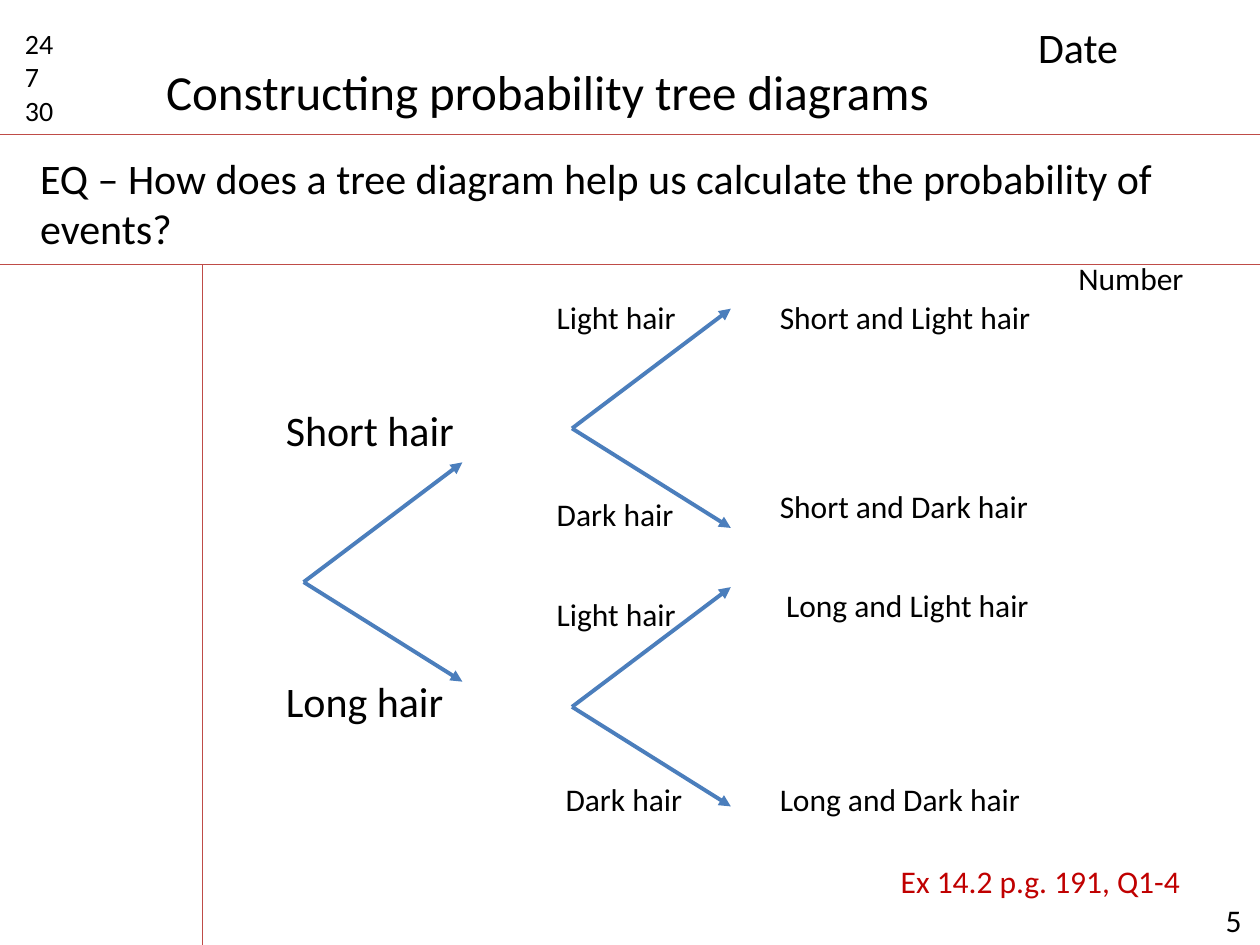
from lxml import etree
from pptx import Presentation
from pptx.dml.color import RGBColor
from pptx.enum.shapes import MSO_CONNECTOR
from pptx.enum.text import MSO_AUTO_SIZE
from pptx.oxml.ns import qn
from pptx.util import Inches, Pt

LINE = MSO_CONNECTOR.STRAIGHT
GROW = MSO_AUTO_SIZE.SHAPE_TO_FIT_TEXT
WIDE, HIGH = Inches(10), Inches(7.5)
COLS, ROWS = 100, 75
INK = {"text": "000000", "rule": "BF4C48", "arrow": "4B7EBC", "task": "C00000"}

HEADS = [
    ("5", 96.3, 71, 5.4, 4, 18, "text"),
    ("24\n7\n30", 1, 1.6, 6.3, 9.1, 16, "text"),
    ("Date", 81.4, 1.2, 17.3, 5, 24, "text"),
    ("EQ – How does a tree diagram help us calculate the probability of events?",
     2.2, 11.6, 94.3, 9.1, 24, "text"),
    ("Number", 84.6, 20.1, 12.5, 4, 18, "text"),
    ("Ex 14.2 p.g. 191, Q1-4", 70.5, 67.9, 25.2, 4, 18, "task"),
]
RULES = [(0, 10.7, COLS, 10.7), (0, 21, COLS, 21), (16.1, 21, 16.1, ROWS)]
FORKS = [(24.1, 46.2), (45.4, 34), (45.4, 56.1)]
STEMS = [("Short", 31.6), ("Long", 53.1)]
LEAVES = [
    ("Short", "Light", 43.2, 23.2, 60.9, 23.2),
    ("Short", "Dark", 43.2, 38.8, 60.9, 38.2),
    ("Long", "Light", 43.2, 46.7, 61.4, 46),
    ("Long", "Dark", 43.9, 61.4, 60.9, 61.4),
]


def across(cols):
    return round(WIDE * cols / COLS)


def down(rows):
    return round(HIGH * rows / ROWS)


def add_text(slide, text, left, top, width, height, size, ink="text", wrap=True):
    box = slide.shapes.add_textbox(across(left), down(top), across(width), down(height))
    frame = box.text_frame
    frame.text = text
    for name, value in {"word_wrap": wrap, "auto_size": GROW}.items():
        setattr(frame, name, value)
    for line in frame.paragraphs:
        for name, value in {"name": "Calibri", "size": Pt(size)}.items():
            setattr(line.font, name, value)
        line.font.color.rgb = RGBColor.from_string(INK[ink])


def add_line(slide, x, y, end_x, end_y, ink, width, arrow=False):
    line = slide.shapes.add_connector(LINE, across(x), down(y), across(end_x), down(end_y))
    line.line.color.rgb = RGBColor.from_string(INK[ink])
    line.line.width = Pt(width)
    if arrow:
        etree.SubElement(line.line._get_or_add_ln(), qn("a:tailEnd"), type="triangle")
    etree.SubElement(line._element.spPr, qn("a:effectLst"))


def add_fork(slide, x, y):
    for rise in (-9.5, 7.9):
        add_line(slide, x, y, x + 12.6, y + rise, "arrow", 2.25, True)


def main():
    deck = Presentation()
    for name, value in {"slide_width": WIDE, "slide_height": HIGH}.items():
        setattr(deck, name, value)
    slide = deck.slides.add_slide(deck.slide_layouts[6])
    for rule in RULES:
        add_line(slide, *rule, "rule", 0.75)
    for head in HEADS:
        add_text(slide, *head)
    add_text(slide, "Constructing probability tree diagrams",
             12.2, 4.4, 63.2, 5.7, 28, wrap=False)
    for fork in FORKS:
        add_fork(slide, *fork)
    for stem, top in STEMS:
        add_text(slide, f"{stem} hair", 21.7, top, 15.7, 5, 24)
    for stem, shade, left, top, end_left, end_top in LEAVES:
        add_text(slide, f"{shade} hair", left, top, 17, 4, 18)
        add_text(slide, f"{stem} and {shade} hair", end_left, end_top, 23.8, 4, 18)
    deck.save("out.pptx")


if __name__ == "__main__":
    main()
